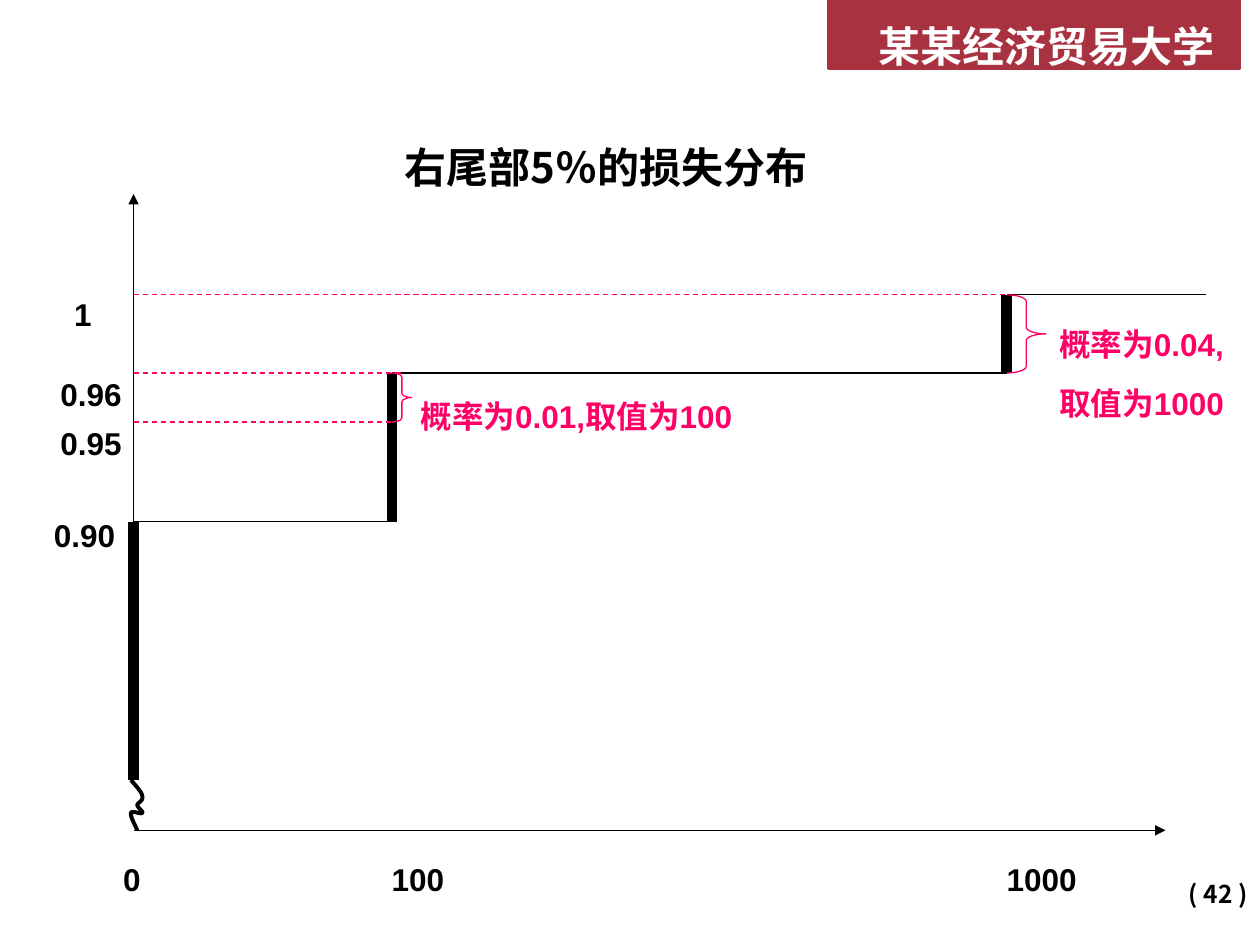
from pptx import Presentation
from pptx.dml.color import RGBColor
from pptx.enum.dml import MSO_LINE
from pptx.enum.shapes import MSO_CONNECTOR, MSO_SHAPE
from pptx.enum.text import MSO_ANCHOR, PP_ALIGN
from pptx.oxml.ns import qn
from pptx.util import Inches, Pt
from lxml.etree import SubElement

HUES = {"ink": "000000", "rose": "FF0066", "band": "A83240", "pale": "FFFFFF"}
SANS, HAN = "Arial", "Noto Sans CJK SC"
LEVELS = {"0.90": 2.6, "0.95": 1.81, "0.96": 1.42, "1": 0.8}
STEPS = {"0": 0, "100": 2.05, "1000": 6.93}
BASE = 5.05


def hue(name):
    """Return a palette colour."""
    return RGBColor.from_string(HUES[name])


def write(shape, lines, size, color="ink", face=SANS, wrap=True, spread=1.4):
    """Fill a shape with bold lines of text."""
    frame = shape.text_frame
    frame.word_wrap = wrap
    frame.vertical_anchor = MSO_ANCHOR.TOP
    frame.text = "\n".join(lines)
    for para in frame.paragraphs:
        para.alignment = PP_ALIGN.LEFT
        para.line_spacing = spread
        para.space_before = Pt(size * 0.2)
        font = para.font
        font.name, font.size, font.bold = face, Pt(size), True
        font.color.rgb = hue(color)
        SubElement(font._element, qn("a:ea"), typeface=HAN)
    return frame


def text(slide, box, lines, size=18, **style):
    """Add a text box."""
    shape = slide.shapes.add_textbox(*map(Inches, box))
    return write(shape, lines, size, **style)


def rule(slide, start, end, width=0.75, color="ink", dash=False, arrow=False):
    """Draw a straight line between two points."""
    ends = map(Inches, (*start, *end))
    wire = slide.shapes.add_connector(MSO_CONNECTOR.STRAIGHT, *ends)
    wire.line.width = Pt(width)
    wire.line.color.rgb = hue(color)
    if dash:
        wire.line.dash_style = MSO_LINE.DASH
    if arrow:
        SubElement(wire.line._get_or_add_ln(), qn("a:tailEnd"), type="triangle")
    SubElement(wire._element.spPr, qn("a:effectLst"))


def brace(slide, box, bend):
    """Draw a right brace."""
    shape = slide.shapes.add_shape(MSO_SHAPE.RIGHT_BRACE, *map(Inches, box))
    shape.shadow.inherit = False
    shape.adjustments[0] = bend
    shape.fill.background()
    shape.line.color.rgb = hue("rose")
    shape.line.width = Pt(0.75)


def header(slide, box):
    """Place the school band."""
    left, top, wide, high = box
    band = slide.shapes.add_shape(MSO_SHAPE.RECTANGLE, *map(Inches, box))
    band.shadow.inherit = False
    band.fill.solid()
    band.fill.fore_color.rgb = hue("band")
    band.line.color.rgb = hue("band")
    band.line.width = Pt(2)
    place = (left + 0.29, top - 0.03, wide + 0.82, high + 0.06)
    text(slide, place, ["某某经济贸易大学"], 24, color="pale", face=HAN)


def title(slide, box):
    """Place the slide title."""
    shape = slide.shapes.title
    shape.left, shape.top, shape.width, shape.height = map(Inches, box)
    write(shape, ["右尾部5％的损失分布"], 24, face=HAN)


def footer(slide, box):
    """Place the page number."""
    frame = text(slide, box, ["( 42 )"], 14, face=HAN, spread=1)
    frame.vertical_anchor = MSO_ANCHOR.MIDDLE
    frame.paragraphs[0].alignment = PP_ALIGN.RIGHT


def axes(slide, box):
    """Draw the axes with their labels."""
    left, top, wide, _ = box
    rule(slide, (left, top + BASE), (left + wide, top + BASE), arrow=True)
    rule(slide, (left, top + 4.41), (left, top), arrow=True)
    shifts = ((-0.73, -0.21), (-0.68, -0.15), (-0.68, -0.15), (-0.57, -0.17))
    for (label, level), (dx, dy) in zip(LEVELS.items(), shifts):
        place = (left + dx, top + level + dy, 0.69, 0.53)
        text(slide, place, [label], wrap=False)
    for (label, over), shift in zip(STEPS.items(), (-0.18, -0.1, -0.1)):
        place = (left + over + shift, top + 5.12, 0.76, 0.48)
        text(slide, place, [label], wrap=False)


def curve(slide, box):
    """Draw the stepped distribution with its guides."""
    left, top = box[:2]
    xs = [left + over for over in STEPS.values()]
    low, mid, high, peak = (top + level for level in LEVELS.values())
    stops = xs[1:] + [left + 8.51]
    for start, end, level in zip(xs, stops, (low, high, peak)):
        rule(slide, (start, level), (end, level))
    for x, start, end in zip(xs, (low, high, peak), (top + 4.65, low, high)):
        rule(slide, (x, start), (x, end), 6)
    for end, level in ((xs[1], mid), (xs[1] + 0.08, high), (xs[2], peak)):
        rule(slide, (left, level), (end, level), color="rose", dash=True)
    brace(slide, (xs[1], high, 0.16, mid - high), 0.21)
    brace(slide, (xs[2], peak, 0.31, high - peak), 0.17)
    notes = (xs[1] + 0.13, high + 0.02, 2.71, 0.53)
    text(slide, notes, ["概率为0.01,取值为100"], color="rose")
    notes = (xs[2] + 0.32, peak + 0.07, 1.53, 1.01)
    text(slide, notes, ["概率为0.04,", "取值为1000"], color="rose")


def bezier(knots, t):
    """Return the point at t on a cubic curve."""
    parts = ((1 - t) ** 3, 3 * t * (1 - t) ** 2, 3 * t * t * (1 - t), t ** 3)
    return tuple(sum(p * k[i] for p, k in zip(parts, knots)) for i in (0, 1))


def squiggle(slide, box):
    """Draw the break in the upright axis."""
    left, top = box[:2]
    knots = [(0.01, 0), (0.05, 0.05), (0.1, 0.1), (0.1, 0.13),
             (0.11, 0.17), (0.06, 0.18), (0.06, 0.2),
             (0.06, 0.22), (0.11, 0.25), (0.1, 0.26),
             (0.1, 0.28), (0.02, 0.24), (0.01, 0.26),
             (0, 0.29), (0.05, 0.37), (0.06, 0.4)]
    knots = [(Inches(left + x), Inches(top + y)) for x, y in knots]
    dots = [bezier(knots[i:i + 4], n / 8)
            for i in range(0, 15, 3) for n in range(1, 9)]
    pen = slide.shapes.build_freeform(*knots[0])
    pen.add_line_segments(dots, close=False)
    shape = pen.convert_to_shape()
    shape.shadow.inherit = False
    shape.fill.background()
    shape.line.color.rgb = hue("ink")
    shape.line.width = Pt(2.25)


def main():
    """Build and save the slide."""
    deck = Presentation()
    deck.slide_width, deck.slide_height = Inches(10), Inches(7.5)
    slide = deck.slides.add_slide(deck.slide_layouts[5])
    plot = (1.06, 1.54, 8.19, BASE)
    header(slide, (6.58, -0.02, 3.26, 0.56))
    footer(slide, (7.67, 6.83, 2.33, 0.52))
    axes(slide, plot)
    curve(slide, plot)
    title(slide, (3.11, 0.91, 3.44, 0.67))
    squiggle(slide, (1.03, 6.19, 0.11, 0.4))
    deck.save("out.pptx")


if __name__ == "__main__":
    main()
